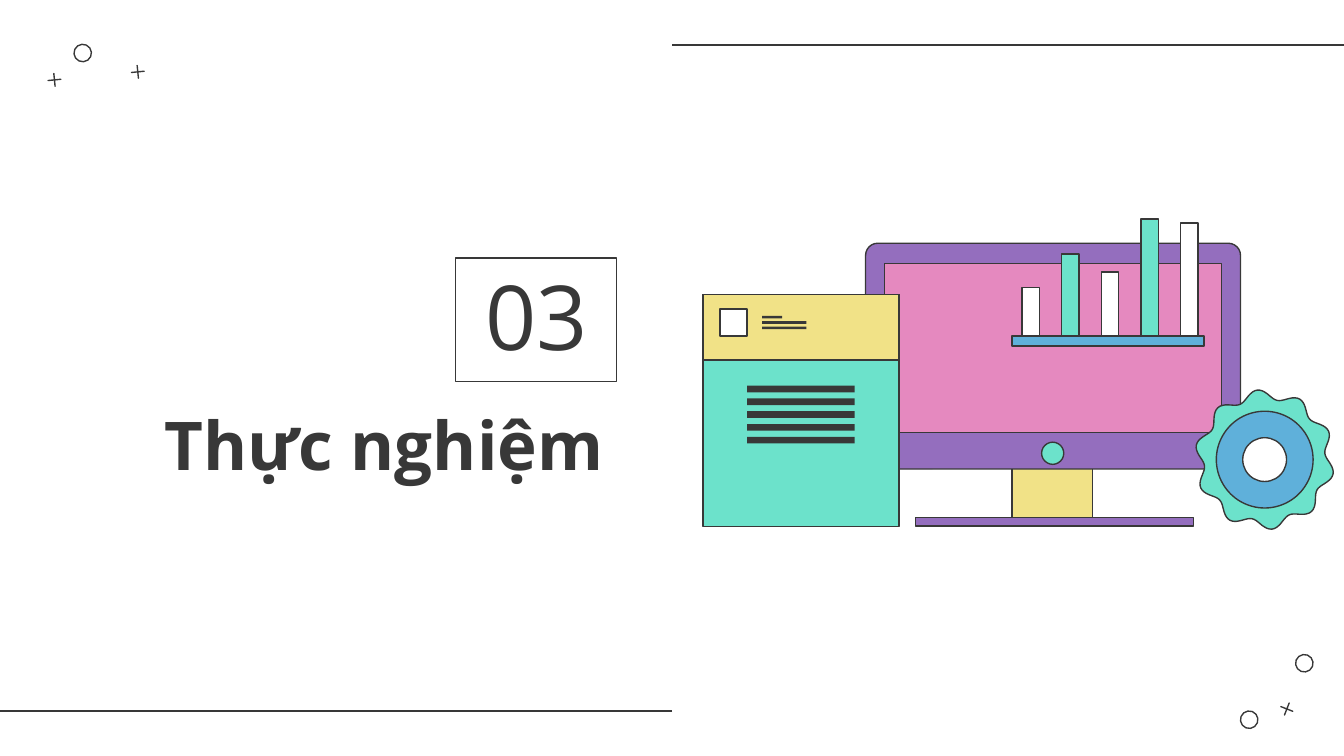
from dataclasses import dataclass
from math import cos, sin, radians
from lxml import etree
from pptx import Presentation, util as u
from pptx.dml.color import RGBColor
from pptx.enum import shapes as s, text as t
from pptx.oxml.ns import qn


@dataclass(frozen=True)
class Theme:
    """Colours, font and type sizes of the slide."""
    ink: str = "383838"
    white: str = "FFFFFF"
    mint: str = "6CE2CB"
    violet: str = "946EBE"
    pink: str = "E589BF"
    sand: str = "F1E287"
    blue: str = "5FB0DA"
    font: str = "Open Sans"
    head: int = 36
    number: int = 48
    line: float = 0.75


look = Theme()
kind = s.MSO_SHAPE
deck = Presentation()
deck.slide_width, deck.slide_height = u.Inches(10), u.Inches(5.625)
cell = deck.slide_width / 100  # square grid, 100 columns wide
slide = deck.slides.add_slide(deck.slide_layouts[5])
items = slide.shapes


def style(item, box=None, fill=None, line=look.line, turn=0):
    """Place an item on the grid and set its fill and outline."""
    if box:
        item.left, item.top, item.width, item.height = [round(n * cell) for n in box]
    item.shadow.inherit = False
    item.rotation = turn
    if fill:
        item.fill.solid()
        item.fill.fore_color.rgb = RGBColor.from_string(fill)
    else:
        item.fill.background()
    if line:
        item.line.width = u.Pt(line)
        item.line.color.rgb = RGBColor.from_string(look.ink)
    else:
        item.line.fill.background()
    return item


def write(item, words, size, align, bold=False):
    """Put one line of formatted text at the bottom of an item."""
    frame = item.text_frame
    frame.word_wrap = True
    frame.auto_size = t.MSO_AUTO_SIZE.NONE
    frame.vertical_anchor = t.MSO_ANCHOR.BOTTOM
    frame.margin_left = frame.margin_right = round(cell)
    frame.margin_top = frame.margin_bottom = round(cell)
    para = frame.paragraphs[0]
    para.alignment, para.line_spacing = align, 1.0
    run = para.add_run()
    run.text = words
    run.font.name, run.font.size, run.font.bold = look.font, u.Pt(size), bold
    run.font.color.rgb = RGBColor.from_string(look.ink)


# Half-width rules
for start, end, row in ((100, 50, 3.35), (50, 0, 52.9)):
    ends = [round(n * cell) for n in (start, row, end, row)]
    rule = items.add_connector(s.MSO_CONNECTOR.STRAIGHT, *ends)
    rule.line.width = u.Pt(look.line)
    rule.line.color.rgb = RGBColor.from_string(look.ink)
    etree.SubElement(rule.element.spPr, qn("a:effectLst"))

# Corner marks
ring, plus = kind.OVAL, kind.MATH_PLUS
for form, x, y, turn in (
        (ring, 5.5, 3.3, 84.5), (plus, 3.4, 5.3, 84.5), (plus, 9.6, 4.7, 84.5),
        (ring, 92.3, 52.9, 291.4), (plus, 95.1, 52.1, 291.4), (ring, 96.4, 48.7, 291.4)):
    mark = style(items.add_shape(form, 0, 0, 0, 0), (x, y, 1.3, 1.3), turn=turn)
    if form == plus:
        mark.adjustments[0] = 0

# Heading and number
title = style(items.title, (4.5, 28.4, 41.4, 8.6), line=0)
write(title, "Thực nghiệm", look.head, t.PP_ALIGN.RIGHT, bold=True)
badge = style(items.add_shape(kind.RECTANGLE, 0, 0, 0, 0), (33.9, 19.2, 12, 9.2))
write(badge, "03", look.number, t.PP_ALIGN.CENTER)

# Monitor, then the window in front of it
rect = kind.RECTANGLE
parts = [
    (rect, (75.3, 33.9, 6, 4.7), look.sand, look.line),
    (rect, (68.1, 38.5, 20.7, 0.65), look.violet, look.line),
    (kind.ROUNDED_RECTANGLE, (64.4, 18.1, 27.9, 16.8), look.violet, look.line),
    (rect, (65.8, 19.6, 25.1, 12.6), look.pink, look.line),
    (ring, (77.5, 32.9, 1.65, 1.65), look.mint, look.line),
    (rect, (52.3, 21.9, 14.6, 17.3), look.mint, look.line),
    (rect, (52.3, 21.9, 14.6, 4.9), look.sand, look.line),
    (rect, (53.6, 23, 2, 2), look.white, 1),
]
parts += [(rect, (56.7, 23.5 + 0.4 * i, wide, 0.2), look.ink, 0)
          for i, wide in enumerate((1.5, 3.3, 3.3))]
parts += [(rect, (55.6, 28.7 + 0.95 * i, 8, 0.5), look.ink, 0) for i in range(5)]

# Bars standing on a shelf
floor = 25
for i, tall in enumerate((3.6, 6.1, 4.75, 8.7, 8.4)):
    tint = look.mint if i % 2 else look.white
    parts.append((rect, (76.05 + 2.95 * i, floor - tall, 1.3, tall), tint, look.line))
parts.append((rect, (75.3, floor, 14.3, 0.75), look.blue, look.line))

for form, box, fill, line in parts:
    part = style(items.add_shape(form, 0, 0, 0, 0), box, fill, line)
    if form == kind.ROUNDED_RECTANGLE:
        part.adjustments[0] = 0.054

# Gear: ten rounded teeth around two discs
hub_x, hub_y, teeth, phase = 94.1, 34.2, 10, -96
rim = []
for deg in range(0, 360, 2):
    reach = 4.85 + 0.35 * cos(radians(teeth * (deg - phase)))
    rim.append((round((hub_x + reach * cos(radians(deg))) * cell),
                round((hub_y + reach * sin(radians(deg))) * cell)))
path = items.build_freeform(*rim[0])
path.add_line_segments(rim[1:], close=True)
style(path.convert_to_shape(), fill=look.mint)
for reach, fill in ((3.6, look.blue), (1.63, look.white)):
    box = (hub_x - reach, hub_y - reach, 2 * reach, 2 * reach)
    style(items.add_shape(ring, 0, 0, 0, 0), box, fill)

deck.save("out.pptx")
